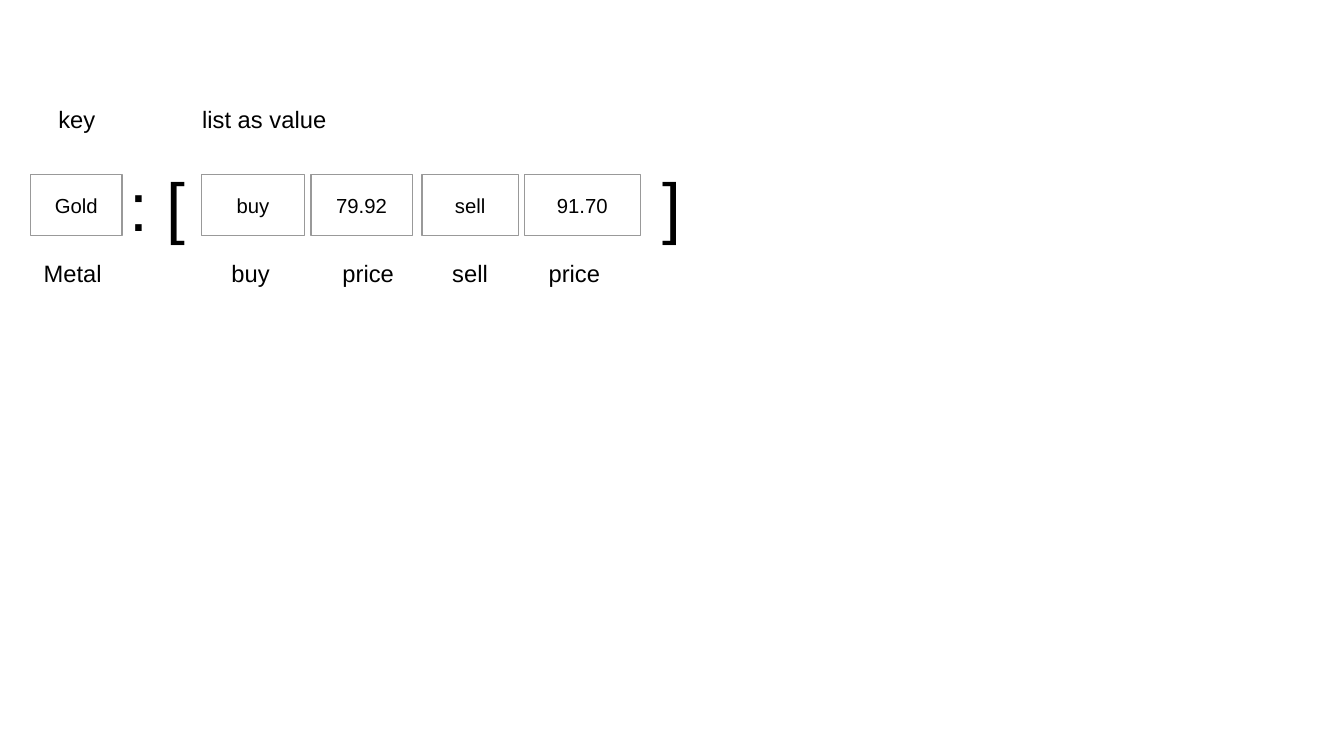
from dataclasses import dataclass

import pptx
import pptx.dml.color
import pptx.enum.shapes
import pptx.enum.text
import pptx.shapes.autoshape
import pptx.slide
import pptx.util

COLORS = {"text": "000000", "border": "999999"}
FONT = "Arial"
BOX_TOP, BOX_HEIGHT = 103, 36
HEADING_TOP, BRACKET_TOP, LABEL_TOP = 58.3, 92.9, 149


@dataclass(frozen=True)
class Cell:
    """A boxed value with its caption; lengths in points."""
    value: str
    left: float
    width: float
    label: str
    label_left: float
    label_width: float


@dataclass(frozen=True)
class Caption:
    text: str
    left: float
    top: float
    width: float
    height: float
    size: float = 14


CELLS = [
    Cell("Gold", 18, 54, "Metal", 18.7, 72),
    Cell("buy", 118.8, 61.2, "buy", 129.6, 50.4),
    Cell("79.92", 183.6, 59.8, "price", 195.1, 55.4),
    Cell("sell", 249.1, 56.9, "sell", 259.9, 50.4),
    Cell("91.70", 309.6, 68.4, "price", 316.8, 55.4),
]
CAPTIONS = [
    Caption("key", 27.4, HEADING_TOP, 72, 36),
    Caption("list as value", 112.3, HEADING_TOP, 233.3, 38),
    Caption(": [", 69.1, BRACKET_TOP, 50.4, 51.8, size=40),
    Caption("]", 383.8, BRACKET_TOP, 36, 51.8, size=40),
]


def rgb(name: str) -> pptx.dml.color.RGBColor:
    return pptx.dml.color.RGBColor.from_string(COLORS[name])


def write_text(
    shape: pptx.shapes.autoshape.Shape,
    text: str,
    *,
    size: float,
    align: pptx.enum.text.PP_ALIGN = pptx.enum.text.PP_ALIGN.LEFT,
    anchor: pptx.enum.text.MSO_ANCHOR = pptx.enum.text.MSO_ANCHOR.TOP,
) -> None:
    frame = shape.text_frame
    frame.word_wrap = True
    frame.vertical_anchor = anchor
    paragraph = frame.paragraphs[0]
    paragraph.alignment = align
    run = paragraph.add_run()
    run.text = text
    run.font.name = FONT
    run.font.size = pptx.util.Pt(size)
    run.font.color.rgb = rgb("text")


def draw_caption(slide: pptx.slide.Slide, caption: Caption) -> None:
    bounds = (caption.left, caption.top, caption.width, caption.height)
    holder = slide.shapes.add_textbox(*map(pptx.util.Pt, bounds))
    write_text(holder, caption.text, size=caption.size)
    holder.text_frame.auto_size = pptx.enum.text.MSO_AUTO_SIZE.SHAPE_TO_FIT_TEXT


def draw_cell(slide: pptx.slide.Slide, cell: Cell) -> None:
    bounds = (cell.left, BOX_TOP, cell.width, BOX_HEIGHT)
    box = slide.shapes.add_shape(
        pptx.enum.shapes.MSO_SHAPE.RECTANGLE, *map(pptx.util.Pt, bounds)
    )
    box.shadow.inherit = False
    box.fill.background()
    box.line.color.rgb = rgb("border")
    box.line.width = pptx.util.Pt(0)
    write_text(
        box,
        cell.value,
        size=12,
        align=pptx.enum.text.PP_ALIGN.CENTER,
        anchor=pptx.enum.text.MSO_ANCHOR.MIDDLE,
    )
    draw_caption(
        slide, Caption(cell.label, cell.label_left, LABEL_TOP, cell.label_width, 24)
    )


def main() -> None:
    deck = pptx.Presentation()
    deck.slide_width = pptx.util.Pt(793.44)
    deck.slide_height = pptx.util.Pt(446.4)
    blank_layout = deck.slide_layouts.get_by_name("Blank")
    slide = deck.slides.add_slide(blank_layout)
    for cell in CELLS:
        draw_cell(slide, cell)
    for caption in CAPTIONS:
        draw_caption(slide, caption)
    deck.save("out.pptx")


if __name__ == "__main__":
    main()
